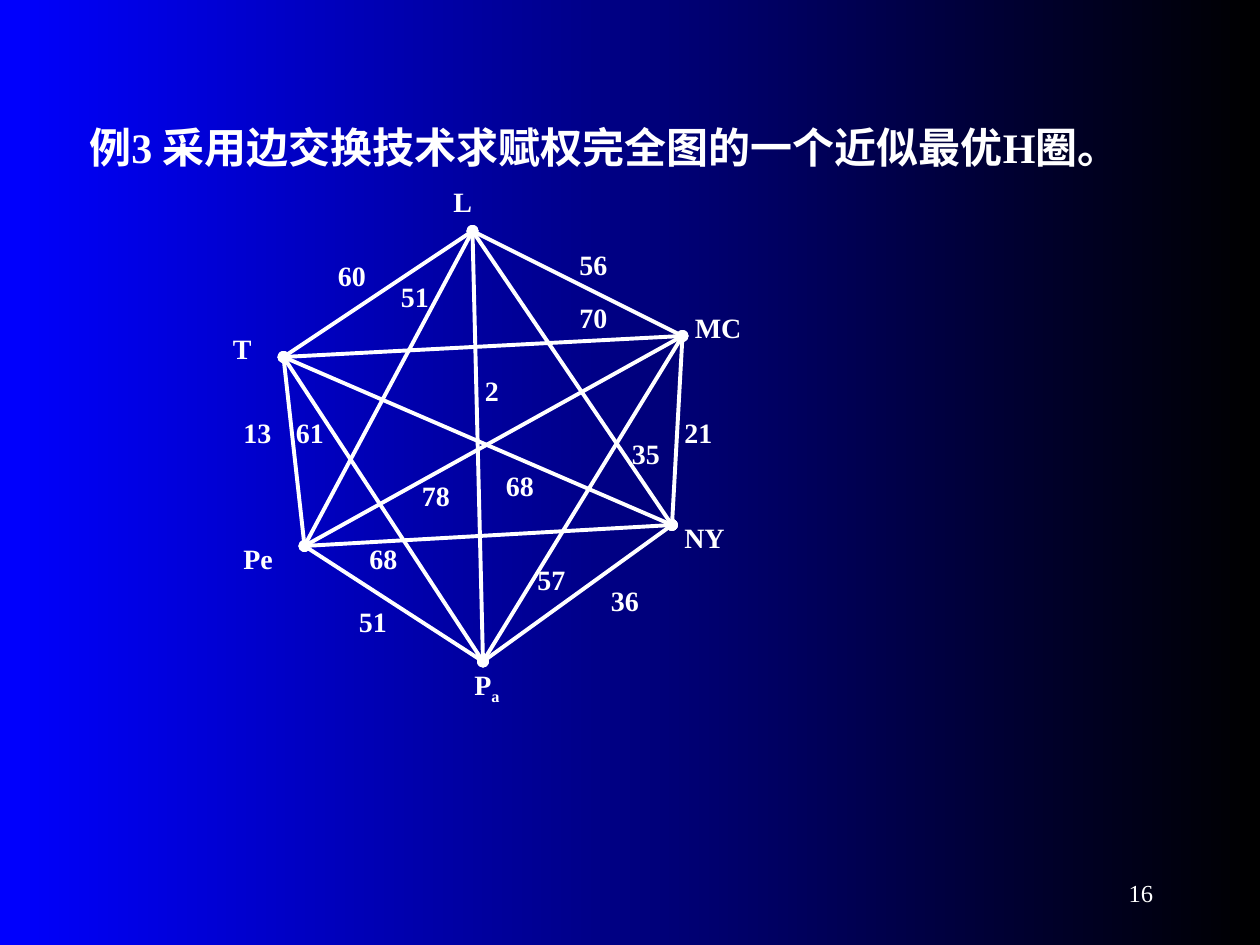
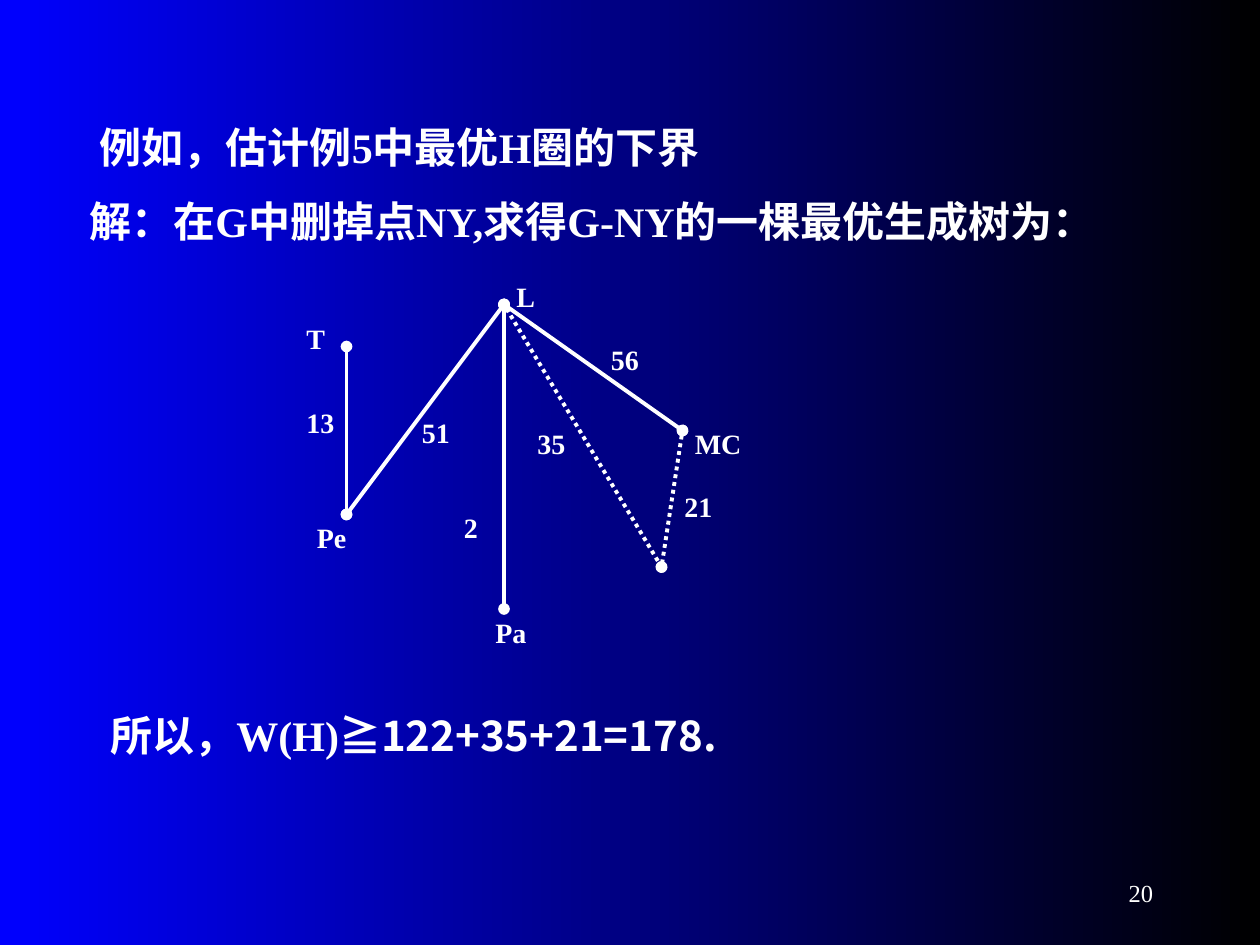
from dataclasses import dataclass

from lxml import etree
from pptx import Presentation
from pptx.dml.color import RGBColor
from pptx.enum.dml import MSO_LINE
from pptx.enum.shapes import MSO_CONNECTOR
from pptx.enum.text import MSO_ANCHOR, PP_ALIGN
from pptx.oxml.ns import qn
from pptx.util import Pt

STRAIGHT = MSO_CONNECTOR.STRAIGHT
DOTTED = MSO_LINE.ROUND_DOT
TOP, MIDDLE = MSO_ANCHOR.TOP, MSO_ANCHOR.MIDDLE
LEFT, RIGHT = PP_ALIGN.LEFT, PP_ALIGN.RIGHT


@dataclass(frozen=True)
class Theme:
    background_start: RGBColor = RGBColor(0, 0, 255)
    background_end: RGBColor = RGBColor(0, 0, 0)
    ink: RGBColor = RGBColor(255, 255, 255)
    latin_font: str = "Times New Roman"
    chinese_font: str = "Noto Sans CJK SC"
    statement_size: float = 24
    label_size: float = 16
    number_size: float = 14
    edge_width: float = 2.25
    statement_indent: float = 32


THEME = Theme()
STATEMENT_HEIGHT = 36
LABEL_WIDTH, LABEL_HEIGHT = 37.5, 26.5
NUMBER_BOX = (516, 492, 150, 36)

SLIDES = [
    {
        "number": "16",
        "statements": [
            (12, 66, 660, 1, ["例3 采用边交换技术求赋权完全图的一个近似最优H圈。"]),
        ],
        "nodes": {
            "L": (270, 132), "T": (162, 204), "MC": (390, 192),
            "Pe": (174, 312), "NY": (384, 300), "Pa": (276, 378),
        },
        "names": [
            (["T"], 126, 186, 61), (["Pe"], 132, 306, 61),
            (["P", "a"], 264, 378, 61), (["NY"], 384, 294, 55),
            (["MC"], 390, 174, 49), (["L"], 252, 102, LABEL_WIDTH),
        ],
        "edges": [
            ("L", "Pa", "2", 270, 210), ("L", "T", "60", 186, 144),
            ("L", "MC", "56", 324, 138), ("T", "Pe", "13", 132, 234),
            ("MC", "NY", "21", 384, 234), ("Pe", "Pa", "51", 198, 342),
            ("NY", "Pa", "36", 342, 330), ("L", "Pe", "51", 222, 156),
            ("L", "NY", "35", 354, 246), ("T", "MC", "70", 324, 168),
            ("T", "NY", "68", 282, 264), ("T", "Pa", "61", 162, 234),
            ("MC", "Pe", "78", 234, 270), ("MC", "Pa", "57", 300, 318),
            ("Pe", "NY", "68", 204, 306),
        ],
        "dotted_edges": [],
    },
    {
        "number": "20",
        "statements": [
            (18, 66, 624, 1, ["例如，估计例5中最优H圈的下界"]),
            (12, 108, 624, 2, ["解：在G中删掉点NY,求得G-NY的一棵最优生成树为："]),
            (24, 402, 624, 1, ["所以，W(H)", "≧122+35+21=178."]),
        ],
        "nodes": {
            "T": (198, 198), "Pe": (198, 294), "L": (288, 174),
            "Pa": (288, 348), "MC": (390, 246), "NY": (378, 324),
        },
        "names": [
            (["MC"], 390, 240, 61), (["Pa"], 276, 348, LABEL_WIDTH),
            (["L"], 288, 156, LABEL_WIDTH), (["Pe"], 174, 294, LABEL_WIDTH),
            (["T"], 168, 180, LABEL_WIDTH),
        ],
        "edges": [
            ("T", "Pe", "13", 168, 228), ("Pe", "L", "51", 234, 234),
            ("L", "Pa", "2", 258, 288), ("L", "MC", "56", 342, 192),
        ],
        "dotted_edges": [
            ("MC", "NY", "21", 384, 276), ("L", "NY", "35", 300, 240),
        ],
    },
]


def add_text_box(shapes, left, top, width, height, align=LEFT, anchor=TOP):
    shape = shapes.add_textbox(Pt(left), Pt(top), Pt(width), Pt(height))
    frame = shape.text_frame
    frame.word_wrap = True
    frame.vertical_anchor = anchor
    paragraph = frame.paragraphs[0]
    paragraph.alignment = align
    return paragraph


def add_run(paragraph, text, size, bold=True, font_name=THEME.latin_font):
    run = paragraph.add_run()
    run.text = text
    run.font.size = Pt(size)
    run.font.bold = bold
    run.font.name = font_name
    run.font.color.rgb = THEME.ink
    properties = run._r.get_or_add_rPr()
    etree.SubElement(properties, qn("a:ea"), typeface=THEME.chinese_font)
    return properties


def add_statement(slide, left, top, width, line_count, texts):
    height = 7.2 + line_count * (STATEMENT_HEIGHT - 7.2)
    paragraph = add_text_box(slide.shapes, left, top, width, height)
    indent = Pt(THEME.statement_indent)
    paragraph._p.get_or_add_pPr().set("indent", str(indent))
    for text, font_name in zip(texts, (THEME.latin_font, THEME.chinese_font)):
        add_run(paragraph, text, THEME.statement_size, font_name=font_name)


def add_label(shapes, texts, left, top, width=LABEL_WIDTH):
    paragraph = add_text_box(shapes, left, top, width, LABEL_HEIGHT)
    add_run(paragraph, texts[0], THEME.label_size)
    for subscript in texts[1:]:
        add_run(paragraph, subscript, THEME.label_size).set("baseline", "-25000")


def add_edge(shapes, start, end, dash):
    connector = shapes.add_connector(STRAIGHT, *map(Pt, start + end))
    connector.line.color.rgb = THEME.ink
    connector.line.width = Pt(THEME.edge_width)
    if dash:
        connector.line.dash_style = dash
    line = connector.line._get_or_add_ln()
    for tag in ("a:headEnd", "a:tailEnd"):
        etree.SubElement(line, qn(tag), type="oval")
    etree.SubElement(connector._element.spPr, qn("a:effectLst"))


def add_graph(slide, content):
    shapes = slide.shapes.add_group_shape().shapes
    nodes = content["nodes"]
    styled_edges = [(edge, None) for edge in content["edges"]]
    styled_edges += [(edge, DOTTED) for edge in content["dotted_edges"]]
    for (start, end, *_), dash in styled_edges:
        add_edge(shapes, nodes[start], nodes[end], dash)
    for (_, _, weight, left, top), _ in styled_edges:
        add_label(shapes, [weight], left, top)
    for name in content["names"]:
        add_label(shapes, *name)


def paint_background(master):
    fill = master.background.fill
    fill.gradient()
    fill.gradient_angle = 0
    colors = (THEME.background_start, THEME.background_end)
    for stop, color in zip(fill.gradient_stops, colors):
        stop.color.rgb = color


def main():
    presentation = Presentation()
    presentation.slide_width, presentation.slide_height = Pt(720), Pt(540)
    paint_background(presentation.slide_master)
    for content in SLIDES:
        slide = presentation.slides.add_slide(presentation.slide_layouts[6])
        number = add_text_box(slide.shapes, *NUMBER_BOX, RIGHT, MIDDLE)
        add_run(number, content["number"], THEME.number_size, bold=False)
        for statement in content["statements"]:
            add_statement(slide, *statement)
        add_graph(slide, content)
    presentation.save("out.pptx")


if __name__ == "__main__":
    main()
